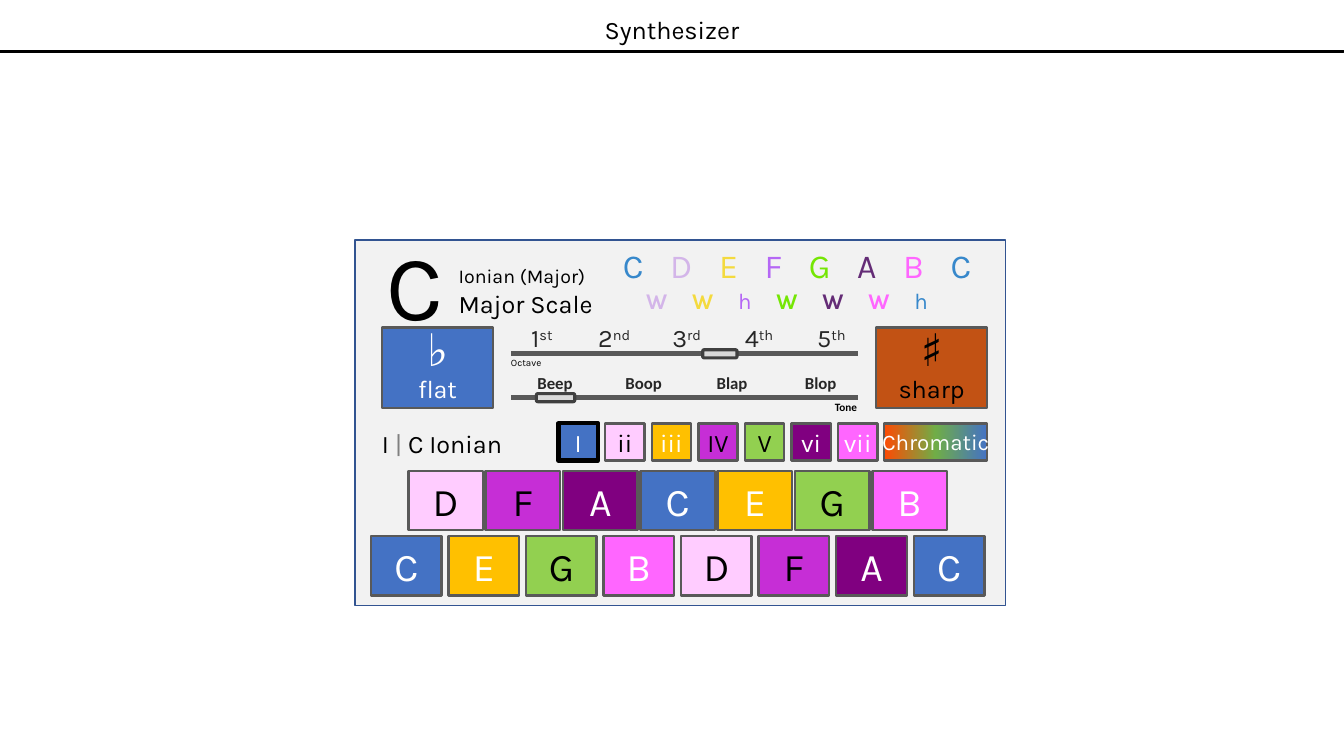
"""Build the Synthesizer slide: a keyboard panel with scale, sliders and keys."""
from copy import deepcopy

from lxml.etree import SubElement
from pptx import Presentation
from pptx.dml.color import RGBColor
from pptx.enum.shapes import MSO_CONNECTOR, MSO_SHAPE
from pptx.enum.text import MSO_ANCHOR, PP_ALIGN
from pptx.oxml.ns import qn
from pptx.util import Inches, Pt

THEME = {
    "font": "Karla", "tone_font": "Calibri",
    "black": "000000", "white": "FFFFFF", "ink": "262626", "divider": "808080",
    "panel": "F2F2F2", "panel_edge": "325491", "edge": "595959",
    "knob": "D9D9D9", "knob_edge": "404040", "sharp": "C25214",
    "chromatic": ["FD4A03", "70AD47", "4472C4"],
    "keys": {"C": ("4472C4", "FFFFFF"), "D": ("FFCCFF", "000000"),
             "E": ("FFC000", "FFFFFF"), "F": ("C62ED6", "000000"),
             "G": ("92D050", "000000"), "A": ("800080", "FFFFFF"),
             "B": ("FF66FF", "FFFFFF")},
    "notes": {"C": "3788CB", "D": "D3B5E9", "E": "F4DA3E", "F": "B567F5",
              "G": "75E604", "A": "642C76", "B": "FF66FF"},
    "tonic": 66, "sign": 32, "key": 28, "note": 24, "body": 18, "step": 16,
    "mode": 14, "tone": 12, "tone_label": 8, "octave_label": 7,
}

deck = Presentation()
deck.slide_width, deck.slide_height = Inches(13.33), Inches(7.5)
COLUMN, ROW = deck.slide_width / 133.3, deck.slide_height / 75
slide = deck.slides.add_slide(deck.slide_layouts[6])


def block(left, top, width, height, fill, edge=THEME["edge"], weight=1.75,
          kind=MSO_SHAPE.RECTANGLE):
    """Draw a filled shape, placed in grid columns and rows."""
    shape = slide.shapes.add_shape(kind, int(left * COLUMN), int(top * ROW),
                                   int(width * COLUMN), int(height * ROW))
    shape.shadow.inherit = False
    shape.fill.solid()
    shape.fill.fore_color.rgb = RGBColor.from_string(fill)
    shape.line.color.rgb = RGBColor.from_string(edge)
    shape.line.width = Pt(weight)
    return shape


def write(*runs, on=None, at=None, size=THEME["body"], color=THEME["black"],
          font=THEME["font"], bold=False, align=PP_ALIGN.CENTER,
          anchor=MSO_ANCHOR.MIDDLE, wrap=True, spacing=None):
    """Write runs, each a string or (string, overrides), on a shape or in a new box."""
    if on is None:
        left, top, width, height = at
        on = slide.shapes.add_textbox(int(left * COLUMN), int(top * ROW),
                                      int(width * COLUMN), int(height * ROW))
    frame = on.text_frame
    frame.word_wrap, frame.vertical_anchor = wrap, anchor
    paragraph = frame.paragraphs[0]
    paragraph.alignment = align
    if spacing:
        paragraph.line_spacing = Pt(spacing)
    for item in runs:
        words, change = (item, {}) if isinstance(item, str) else item
        run = paragraph.add_run()
        run.text = words.rstrip("\n")
        run.font.name = font
        run.font.size = Pt(change.get("size", size))
        run.font.bold = change.get("bold", bold)
        run.font.color.rgb = RGBColor.from_string(change.get("color", color))
        if change.get("raised"):
            run._r.get_or_add_rPr().set("baseline", "30000")
        if words.endswith("\n"):
            paragraph.add_line_break()


block(35.2, 23.8, 64.5, 36.3, THEME["panel"], THEME["panel_edge"], 1)
block(0, 5, 133.3, 0.2, THEME["black"], THEME["black"], 0.75)
write("Synthesizer", at=(2.9, 0.9, 127.5, 4), anchor=MSO_ANCHOR.TOP)

for keys, left, top, pitch, width in [("DFACEGB", 40.5, 46.7, 7.67, 7.4),
                                      ("CEGBDFAC", 36.8, 53.2, 7.69, 7)]:
    for place, key in enumerate(keys):
        fill, ink = THEME["keys"][key]
        write(key, on=block(left + place * pitch, top, width, 5.9, fill),
              size=THEME["key"], color=ink)

degrees = ["I", "ii", "iii", "IV", "V", "vi", "vii"]
for place, (degree, (fill, ink)) in enumerate(zip(degrees, THEME["keys"].values())):
    chosen = degree == "I"
    button = block(55.4 + place * 4.62, 42, 3.9, 3.7, fill,
                   THEME["black"] if chosen else THEME["edge"], 3 if chosen else 1.75)
    write(degree, on=button, color=ink, wrap=False)

chromatic = block(87.7, 42, 10.2, 3.7, THEME["panel"])
chromatic.fill.gradient()
chromatic.fill.gradient_angle = 0
stops = chromatic._element.find(".//" + qn("a:gsLst"))
stops.insert(1, deepcopy(stops[0]))
for place, stop in enumerate(chromatic.fill.gradient_stops):
    stop.position = place / 2
    stop.color.rgb = RGBColor.from_string(THEME["chromatic"][place])
write("Chromatic", on=chromatic, size=THEME["step"], color=THEME["white"], wrap=False)

for sign, name, left, fill, ink in [
        ("♭", "flat", 37.9, THEME["keys"]["C"][0], THEME["white"]),
        ("♯", "sharp", 86.9, THEME["sharp"], THEME["black"])]:
    write((sign + "\n", {"size": THEME["sign"], "bold": True}), name,
          on=block(left, 32.5, 11, 8, fill), color=ink,
          anchor=MSO_ANCHOR.BOTTOM, spacing=20)

for place, ending in enumerate(["st", "nd", "rd", "th", "th"]):
    write(str(place + 1), (ending, {"raised": True}),
          at=(48.75 + place * 7.18, 31.75, 10, 3.5), color=THEME["ink"])
for place, tone in enumerate(["Beep", "Boop", "Blap", "Blop"]):
    write(tone, at=(51.1 + place * 8.78, 36.3, 7.9, 3.3), size=THEME["tone"],
          color=THEME["ink"], font=THEME["tone_font"], bold=True)
write("Octave", at=(49.7, 34.9, 6, 2.2), size=THEME["octave_label"],
      align=PP_ALIGN.LEFT, anchor=MSO_ANCHOR.TOP)
write("Tone", at=(76, 39.2, 10, 2.4), size=THEME["tone_label"], bold=True,
      font=THEME["tone_font"], align=PP_ALIGN.RIGHT, anchor=MSO_ANCHOR.TOP)

for track_row, knob_left, knob_width in [(35.1, 69.7, 3.4), (39.45, 53.2, 3.8)]:
    track = slide.shapes.add_connector(
        MSO_CONNECTOR.STRAIGHT, int(50.7 * COLUMN), int(track_row * ROW),
        int(85.1 * COLUMN), int(track_row * ROW))
    track.line.color.rgb = RGBColor.from_string(THEME["edge"])
    track.line.width = Pt(3.5)
    SubElement(track._element.spPr, qn("a:effectLst"))
    block(knob_left, track_row - 0.4, knob_width, 0.8, THEME["knob"],
          THEME["knob_edge"], 2.25, MSO_SHAPE.ROUNDED_RECTANGLE)

write("C", at=(30.4, 22.1, 21.4, 12.1), size=THEME["tonic"], anchor=MSO_ANCHOR.TOP)
for words, at, size in [("Ionian (Major)", (44.5, 25.7, 21.4, 3.4), THEME["mode"]),
                        ("Major Scale", (44.5, 28.1, 21.4, 4), THEME["body"])]:
    write(words, at=at, size=size, align=PP_ALIGN.LEFT, anchor=MSO_ANCHOR.TOP)
write("I ", ("|", {"color": THEME["divider"]}), " C Ionian", at=(36.9, 42, 18.3, 4),
      align=PP_ALIGN.LEFT, anchor=MSO_ANCHOR.TOP)

for marks, notes, at, size in [
        ("CDEFGABC", "CDEFGABC", (60.8, 23.8, 36.5, 9.1), THEME["note"]),
        ("WWhWWWh", "DEFGABC", (63.1, 28, 29.9, 6.4), THEME["step"])]:
    ends = [" "] * (len(marks) - 1) + ["\n"]
    write(*[(mark + end, {"color": THEME["notes"][note], "bold": mark == "W"})
            for mark, note, end in zip(marks, notes, ends)],
          at=at, size=size, align=PP_ALIGN.JUSTIFY, anchor=MSO_ANCHOR.TOP)

deck.save("out.pptx")
